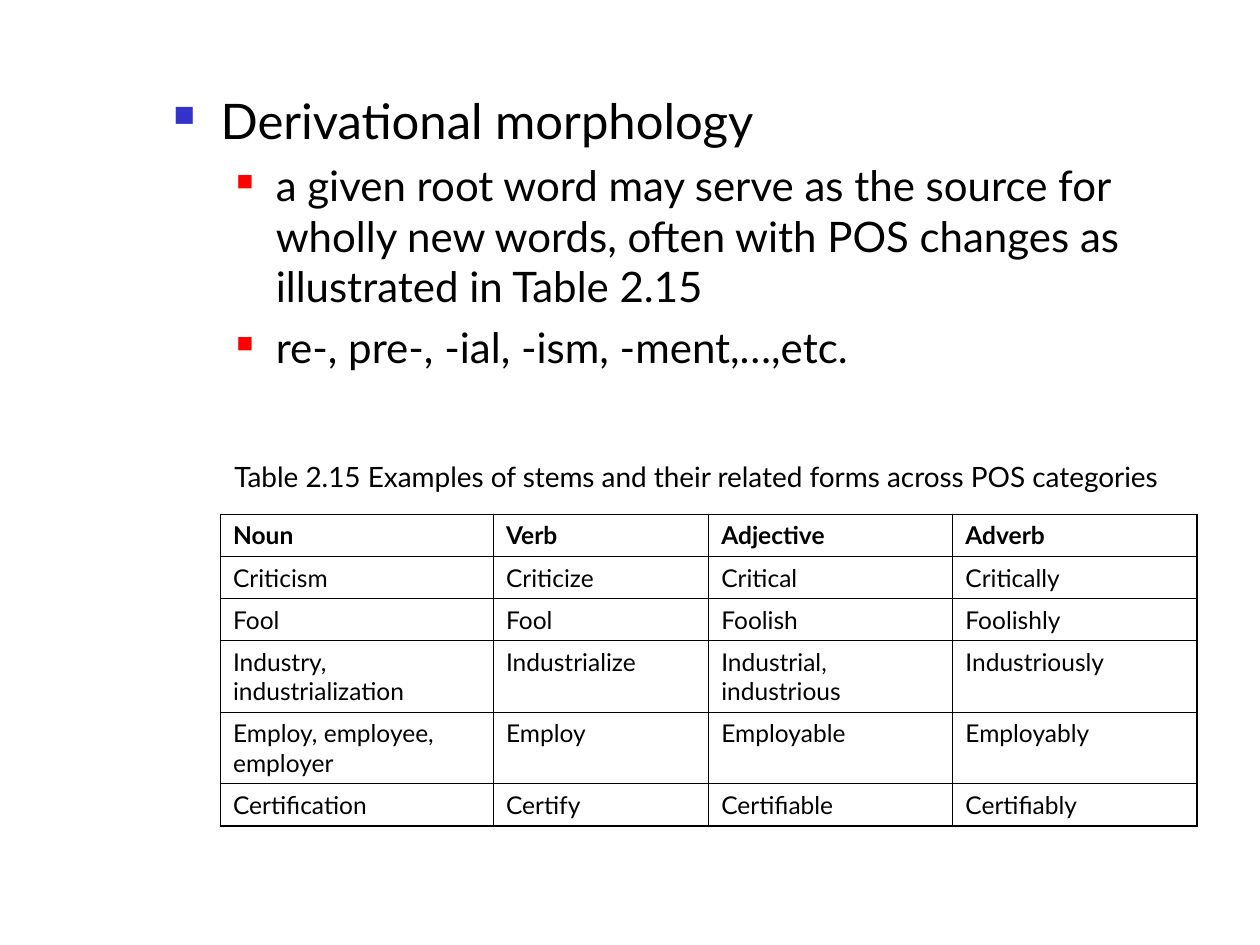
from lxml.etree import SubElement as Sub
from pptx import Presentation
from pptx.dml.color import RGBColor
from pptx.enum.text import PP_ALIGN as Align
from pptx.oxml.ns import qn
from pptx.util import Pt

BLACK = RGBColor(0x00, 0x00, 0x00)
BLUE = RGBColor(0x33, 0x33, 0xCC)
RED = RGBColor(0xFF, 0x00, 0x00)

# Text, size, space before, left margin, hang, bullet colour, bullet percent
POINTS = [
    ("Derivational morphology", 28, 0, 27, 27, BLUE, 60),
    ("a given root word may serve as the source for wholly new words, "
     "often with POS changes as illustrated in Table 2.15",
     24, 6, 58.5, 22.5, RED, 55),
    ("re-, pre-, -ial, -ism, -ment,…,etc.", 24, 6, 58.5, 22.5, RED, 55),
]
CAPTION = ("Table 2.15 Examples of stems and their related forms "
           "across POS categories")
FORMS = [
    ("Noun", "Verb", "Adjective", "Adverb"),
    ("Criticism", "Criticize", "Critical", "Critically"),
    ("Fool", "Fool", "Foolish", "Foolishly"),
    ("Industry, industrialization", "Industrialize",
     "Industrial, industrious", "Industriously"),
    ("Employ, employee, employer", "Employ", "Employable", "Employably"),
    ("Certification", "Certify", "Certifiable", "Certifiably"),
]
WIDTHS = [156, 123, 139.5, 139.5]
HEIGHTS = [24, 24, 24, 40.8, 40.8, 24]


class Page:
    face = "Lato"
    ink = BLACK
    thick, thin = 1.08, 0.45

    def __init__(self, slide):
        self.slide = slide

    def box(self, x, y, w, h):
        frame = self.slide.shapes.add_textbox(Pt(x), Pt(y), Pt(w), Pt(h)).text_frame
        frame.word_wrap = True
        return frame

    def style(self, para, text, size, bold=False):
        para.text = text
        font = para.font
        font.name, font.size, font.bold = self.face, Pt(size), bold
        font.color.rgb = self.ink

    def bullet(self, para, left, hang, color, percent):
        props = para._p.get_or_add_pPr()
        props.set("marL", str(Pt(left)))
        props.set("indent", str(-Pt(hang)))
        Sub(Sub(props, qn("a:buClr")), qn("a:srgbClr"), val=str(color))
        Sub(props, qn("a:buSzPct"), val=str(percent * 1000))
        Sub(props, qn("a:buChar"), char="■")

    def border(self, cell, side, width):
        props = cell._tc.get_or_add_tcPr()
        line = Sub(props, qn("a:ln" + side), w=str(Pt(width)))
        Sub(Sub(line, qn("a:solidFill")), qn("a:srgbClr"), val=str(self.ink))

    def table(self, x, y, widths, heights, rows, size):
        last, end = len(rows) - 1, len(widths) - 1
        grid = self.slide.shapes.add_table(
            len(rows), len(widths), Pt(x), Pt(y),
            Pt(sum(widths)), Pt(sum(heights))).table
        grid.first_row = grid.horz_banding = False
        for col, width in zip(grid.columns, widths):
            col.width = Pt(width)
        for r, (row, height) in enumerate(zip(rows, heights)):
            grid.rows[r].height = Pt(height)
            for c, text in enumerate(row):
                cell = grid.cell(r, c)
                edges = {"L": c == 0, "R": c == end, "T": r == 0, "B": r == last}
                for side, outer in edges.items():
                    self.border(cell, side, self.thick if outer else self.thin)
                cell.fill.background()
                self.style(cell.text_frame.paragraphs[0], text, size, r == 0)


def main():
    deck = Presentation()
    deck.slide_width, deck.slide_height = Pt(720), Pt(540)
    page = Page(deck.slides.add_slide(deck.slide_layouts[6]))

    # Bullet points
    body = page.box(92, 48.2, 612, 432)
    para = body.paragraphs[0]
    for text, size, gap, *mark in POINTS:
        page.bullet(para, *mark)
        page.style(para, text, size)
        if gap:
            para.space_before = Pt(gap)
        para = body.add_paragraph()

    # Table caption
    page.style(para, CAPTION, 16)
    para.alignment = Align.CENTER
    para.space_before = Pt(50)

    # Table of word forms
    page.table(126, 294, WIDTHS, HEIGHTS, FORMS, 14)

    deck.save("out.pptx")


if __name__ == "__main__":
    main()
